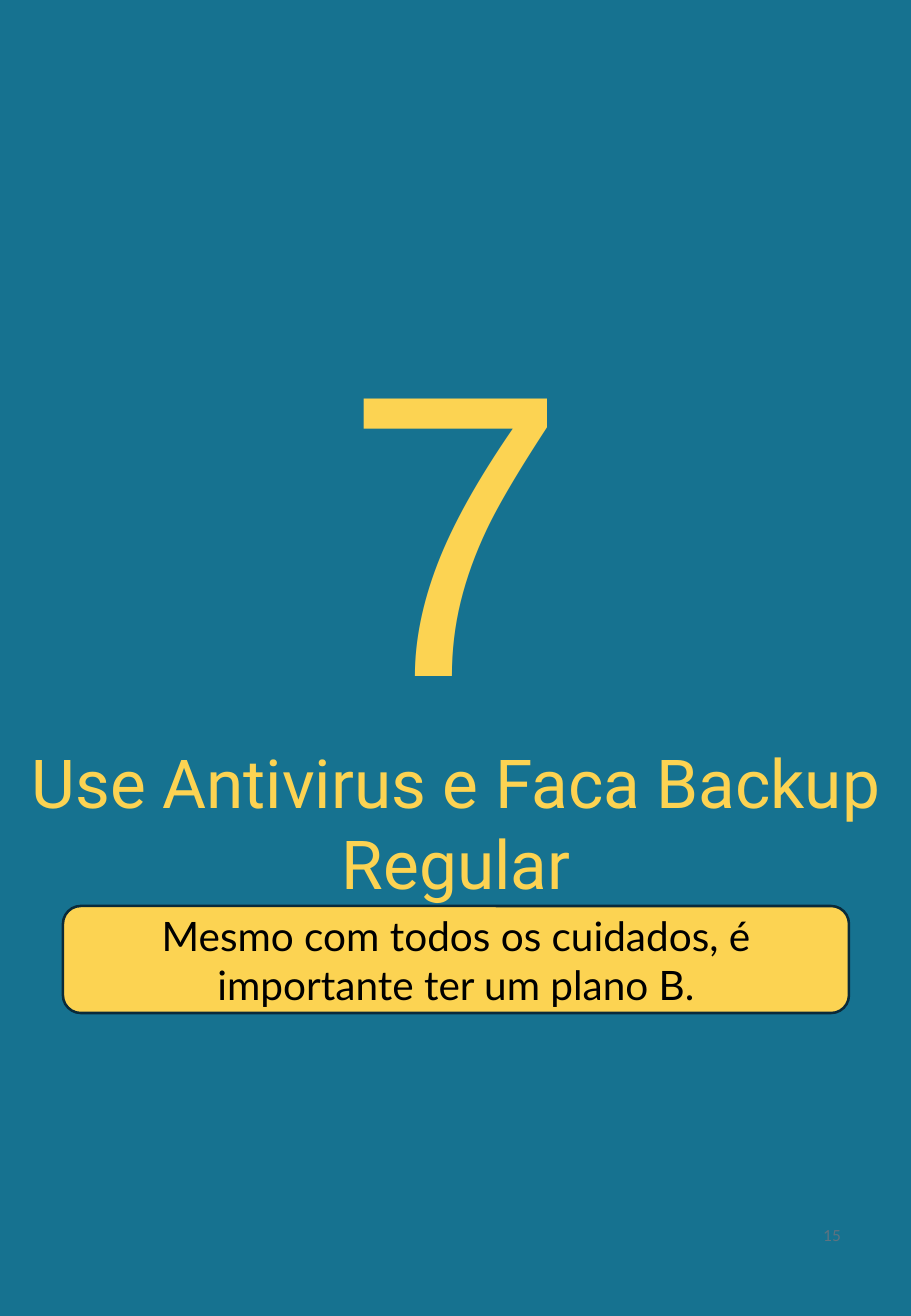
import pptx
import pptx.util
import pptx.dml.color
import pptx.enum.shapes
import pptx.enum.text

SCALE = 914400 / 121.5
PAGE = (0, 0, 911, 1316)
BLUE, YELLOW, NAVY, BLACK, GREY = "167290", "FCD352", "092A39", "000000", "5F7380"
ALIGN = pptx.enum.text.PP_ALIGN
ANCHOR = pptx.enum.text.MSO_ANCHOR
SHAPE = pptx.enum.shapes.MSO_SHAPE

CHAPTER = {"text": "7", "box": (192, 267, 527, 501), "size": 239, "font": "Arial", "color": YELLOW}
TITLE = {"text": "Use Antivirus e Faca Backup Regular", "box": (-10, 735, 932, 176),
         "size": 40, "font": "Roboto", "color": YELLOW}
MESSAGE = {"text": "Mesmo com todos os cuidados, é importante ter um plano B.",
           "box": (63, 906, 786, 107), "size": 24, "font": "Lato", "color": BLACK,
           "anchor": ANCHOR.MIDDLE}
PAGE_NUMBER = {"text": "15", "box": (648, 1200, 205, 70), "size": 9, "font": "Lato",
               "color": GREY, "align": ALIGN.RIGHT, "anchor": ANCHOR.MIDDLE}


def px(length):
    """Turn px into EMU."""
    return pptx.util.Emu(round(length * SCALE))


def rgb(color):
    """Turn a hex string into a colour."""
    return pptx.dml.color.RGBColor.from_string(color)


def place(shape, box):
    """Move and size a shape."""
    shape.left, shape.top, shape.width, shape.height = map(px, box)


def write(shape, item):
    """Place a shape and fill it with one formatted run."""
    place(shape, item["box"])
    frame = shape.text_frame
    frame.word_wrap = True
    frame.auto_size = pptx.enum.text.MSO_AUTO_SIZE.NONE
    frame.vertical_anchor = item.get("anchor", ANCHOR.TOP)
    paragraph = frame.paragraphs[0]
    paragraph.alignment = item.get("align", ALIGN.CENTER)
    run = paragraph.add_run()
    run.text = item["text"]
    run.font.size = pptx.util.Pt(item["size"])
    run.font.name = item["font"]
    run.font.color.rgb = rgb(item["color"])


def add_panel(slide, kind, box, fill, line=None):
    """Add a filled shape, outlined if a line colour is given."""
    shape = slide.shapes.add_shape(kind, *map(px, box))
    shape.shadow.inherit = False
    shape.fill.solid()
    shape.fill.fore_color.rgb = rgb(fill)
    if line:
        shape.line.color.rgb = rgb(line)
        shape.line.width = pptx.util.Pt(1.5)
    else:
        shape.line.fill.background()
    return shape


def main():
    """Build the chapter slide."""
    presentation = pptx.Presentation()
    presentation.slide_width, presentation.slide_height = px(PAGE[2]), px(PAGE[3])
    slide = presentation.slides.add_slide(presentation.slide_layouts[5])
    title = slide.shapes.title
    backdrop = add_panel(slide, SHAPE.RECTANGLE, PAGE, BLUE)
    title._element.addprevious(backdrop._element)
    write(slide.shapes.add_textbox(*map(px, CHAPTER["box"])), CHAPTER)
    write(title, TITLE)
    write(add_panel(slide, SHAPE.ROUNDED_RECTANGLE, MESSAGE["box"], YELLOW, NAVY), MESSAGE)
    write(slide.shapes.add_textbox(*map(px, PAGE_NUMBER["box"])), PAGE_NUMBER)
    presentation.save("out.pptx")


if __name__ == "__main__":
    main()
